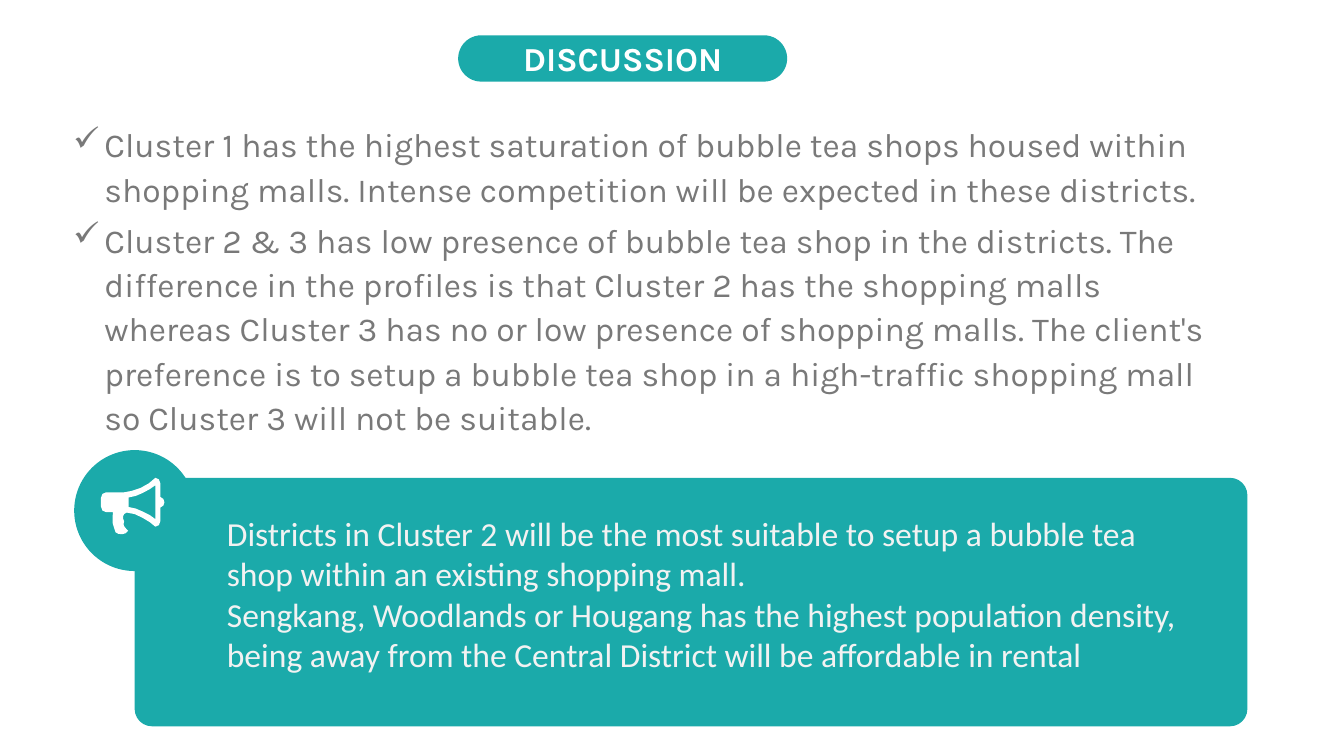
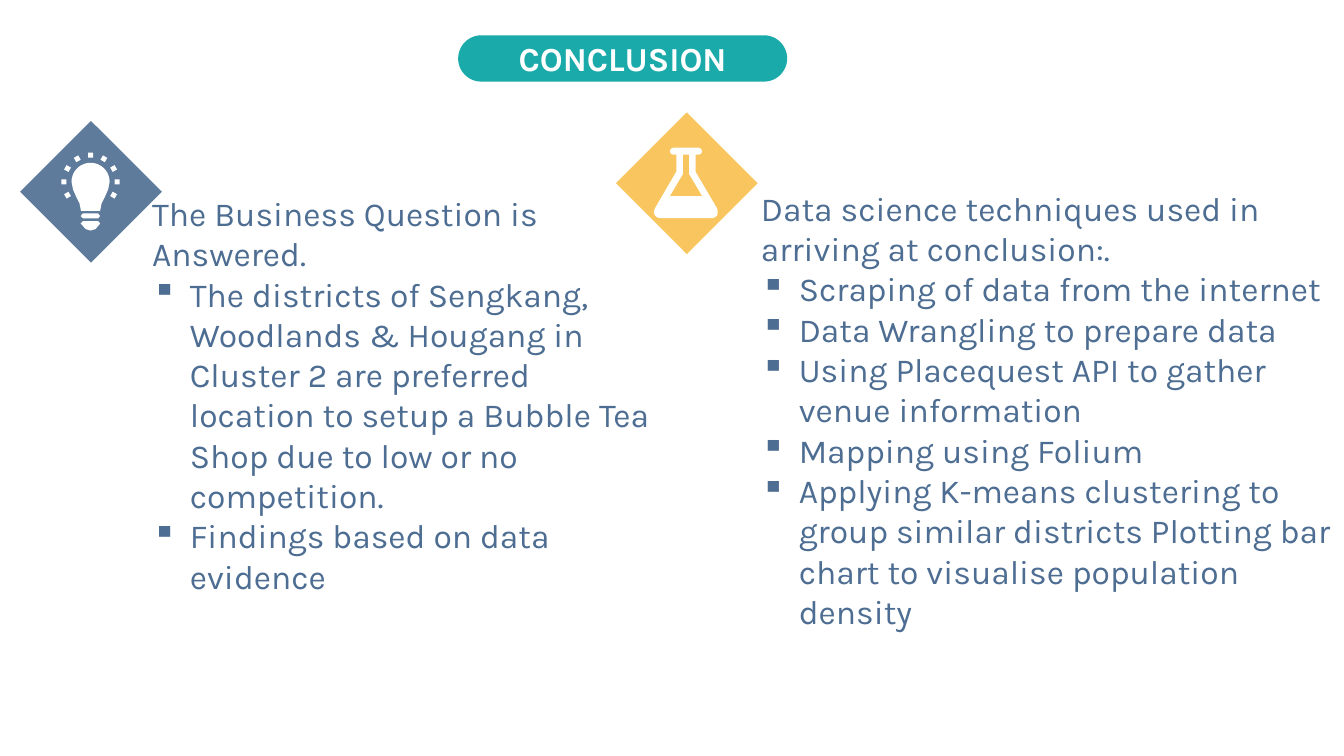
"""Build the discussion and conclusion slides of a bubble tea location study."""
import math
from dataclasses import dataclass

import lxml.etree
import pptx
import pptx.dml.color
import pptx.enum.shapes
import pptx.enum.text
import pptx.oxml.ns
import pptx.util

Pt = pptx.util.Pt
SHAPES = pptx.enum.shapes.MSO_SHAPE
ANCHOR = pptx.enum.text.MSO_ANCHOR
ALIGN = pptx.enum.text.PP_ALIGN


@dataclass(frozen=True)
class Theme:
    """Colours, fonts and type size shared by the slides."""
    teal: str = "1BAAAA"
    blue: str = "4D6D92"
    yellow: str = "F8BF4D"
    grey: str = "797979"
    pale: str = "F2F2F2"
    white: str = "FFFFFF"
    main_font: str = "Karla"
    callout_font: str = "Calibri"
    size: int = 48


@dataclass(frozen=True)
class Box:
    """A rectangle in points."""
    left: float
    top: float
    width: float
    height: float

    def inner(self, left, top, width, height):
        """Return a box placed relative to this one."""
        return Box(self.left + left, self.top + top, width, height)

    def lengths(self):
        """Return left, top, width and height as slide lengths."""
        return [Pt(value) for value in (self.left, self.top, self.width, self.height)]


THEME = Theme()
PAGE = Box(0, 0, 1920, 1080)
TITLE = Box(654.5, 50.4, 470, 66.2)
DIAMOND_SIDE = 202.3


def bulb_outline():
    """Return the contours of a shining light bulb."""
    centre, radius = 58, 38
    dome = [(centre + radius * math.cos(math.radians(angle)),
             centre + radius * math.sin(math.radians(angle)))
            for angle in range(180, 361, 10)]
    side = [(93, 73), (87, 87), (80, 101), (77, 116)]
    mirrored = [(2 * centre - x, y) for x, y in reversed(side)]
    collar = [(43, 121), (73, 121), (77, 126), (73, 131), (43, 131), (38, 126)]
    base = [(43, 136), (73, 136), (77, 141), (73, 146), (68, 152),
            (58, 155), (48, 152), (43, 146), (38, 141)]
    rays = []
    for degrees in range(-120, 121, 30):
        sine, cosine = math.sin(math.radians(degrees)), math.cos(math.radians(degrees))
        rays.append([(centre + out * sine + across * cosine,
                      centre - out * cosine + across * sine)
                     for out, across in ((48, -5), (58, -5), (58, 5), (48, 5))])
    return [dome + side + mirrored, collar, base, *rays]


MEGAPHONE = [
    [(126, 49), (124, 55), (118, 59), (118, 86), (115, 94), (108, 97), (97, 88),
     (82, 79), (67, 72), (51, 69), (46, 72), (44, 76), (44, 81), (46, 86), (45, 92),
     (46, 96), (50, 101), (54, 105), (49, 110), (42, 112), (34, 111), (29, 108),
     (26, 99), (23, 89), (23, 79), (24, 68), (10, 68), (3, 65), (0, 57), (0, 40),
     (3, 32), (10, 29), (45, 29), (61, 26), (79, 20), (95, 11), (108, 0), (115, 3),
     (118, 11), (118, 38), (124, 42)],
    [(108, 15), (96, 23), (83, 30), (69, 36), (55, 39), (55, 58), (69, 61),
     (83, 67), (97, 74), (108, 82)],
]
FLASK = [
    [(126, 121), (127, 128), (126, 134), (122, 138), (116, 140), (12, 140), (6, 138),
     (2, 134), (0, 128), (2, 121), (45, 47), (45, 14), (39, 14), (34, 12), (32, 7),
     (34, 2), (39, 0), (89, 0), (94, 2), (96, 7), (94, 12), (89, 14), (83, 14), (83, 48)],
    [(32, 96), (96, 96), (70, 52), (70, 14), (58, 14), (58, 52)],
]
BULB = bulb_outline()


def paint(shape, colour, opacity=None):
    """Give a shape a plain fill without line or shadow."""
    shape.shadow.inherit = False
    shape.fill.solid()
    shape.fill.fore_color.rgb = pptx.dml.color.RGBColor.from_string(colour)
    shape.line.fill.background()
    if opacity is not None:
        for tint in shape.element.spPr.iter(pptx.oxml.ns.qn("a:srgbClr")):
            alpha = lxml.etree.SubElement(tint, pptx.oxml.ns.qn("a:alpha"))
            alpha.set("val", str(opacity * 1000))


def add_shape(page, kind, box, colour, corner=None, opacity=None):
    """Add a plain preset shape."""
    shape = page.shapes.add_shape(kind, *box.lengths())
    if corner is not None:
        shape.adjustments[0] = corner
    paint(shape, colour, opacity)
    return shape


def add_icon(page, contours, box):
    """Draw a white icon scaled to the width of its box."""
    widest = max(x for contour in contours for x, y in contour)
    unit = Pt(box.width) / widest
    builder = None
    for contour in contours:
        points = [(x * unit, y * unit) for x, y in contour]
        if builder is None:
            builder = page.shapes.build_freeform(*points[0], scale=1.0)
        else:
            builder.move_to(*points[0])
        builder.add_line_segments(points[1:], close=True)
    paint(builder.convert_to_shape(Pt(box.left), Pt(box.top)), THEME.white)


def set_font(para, colour, name=THEME.main_font, bold=None):
    """Set the type of a paragraph."""
    para.font.name = name
    para.font.size = Pt(THEME.size)
    para.font.bold = bold
    para.font.color.rgb = pptx.dml.color.RGBColor.from_string(colour)


def set_frame(frame, side, end, anchor=ANCHOR.TOP):
    """Set wrapping, insets and anchor of a text frame."""
    frame.word_wrap = True
    frame.margin_left = frame.margin_right = Pt(side)
    frame.margin_top = frame.margin_bottom = Pt(end)
    frame.vertical_anchor = anchor


def add_bullet(para, symbol, margin, hanging):
    """Give a paragraph a bullet and a hanging indent."""
    properties = para._p.get_or_add_pPr()
    properties.set("marL", str(Pt(margin)))
    properties.set("indent", str(-Pt(hanging)))
    bullet = lxml.etree.SubElement(properties, pptx.oxml.ns.qn("a:buChar"))
    bullet.set("char", symbol)


def add_text(page, box, lines, side=7.2, end=0, anchor=ANCHOR.TOP):
    """Add a wrapping text box and return its paragraphs."""
    frame = page.shapes.add_textbox(*box.lengths()).text_frame
    set_frame(frame, side, end, anchor)
    frame.auto_size = pptx.enum.text.MSO_AUTO_SIZE.SHAPE_TO_FIT_TEXT
    frame.text = "\n".join(lines)
    return frame.paragraphs


def add_title(page, box, title):
    """Add the title pill."""
    pill = add_shape(page, SHAPES.ROUNDED_RECTANGLE, box, THEME.teal, 0.5)
    set_frame(pill.text_frame, 7.2, 0, ANCHOR.MIDDLE)
    para = pill.text_frame.paragraphs[0]
    para.text = title
    para.alignment = ALIGN.CENTER
    set_font(para, THEME.white, bold=True)


def add_findings(page, box, lines):
    """Add the ticked findings."""
    for index, para in enumerate(add_text(page, box, lines, 19.2, 9.6)):
        para.level = 1
        add_bullet(para, "✓", 130, 44.8)
        para.line_spacing = 1.1
        if index:
            para.space_before = Pt(9.6)
        set_font(para, THEME.grey)


def add_callout(page, box, lines):
    """Add the recommendation panel with its megaphone badge."""
    panel = box.inner(86.4, 39.6, box.width - 86.4, box.height - 39.6)
    add_shape(page, SHAPES.ROUNDED_RECTANGLE, panel, THEME.teal, 0.07)
    for para in add_text(page, panel.inner(124.6, 46.8, 1386, 239.8), lines, end=3.6):
        set_font(para, THEME.pale, THEME.callout_font)
    add_shape(page, SHAPES.OVAL, box.inner(0, 0, 172.8, 172.8), THEME.teal)
    add_icon(page, MEGAPHONE, box.inner(38.2, 39.6, 90.7, 80.6))


def add_summary(page, box, heading, points):
    """Add a heading with square bullets below it."""
    paras = add_text(page, box, [heading, *points], anchor=ANCHOR.MIDDLE)
    for para in paras[1:]:
        add_bullet(para, "▪", 54, 54)
    for para in paras:
        set_font(para, THEME.blue)


def add_diamond(page, box, colour, contours, icon):
    """Add a diamond badge with an icon at a place relative to it."""
    add_shape(page, SHAPES.DIAMOND, box, colour, opacity=90)
    add_icon(page, contours, box.inner(*icon))


def build_discussion(page, box):
    """Build the discussion slide."""
    add_findings(page, box.inner(0, 162, 1764, 545), [
        "Cluster 1 has the highest saturation of bubble tea shops housed within shopping "
        "malls. Intense competition will be expected in these districts.",
        "Cluster 2 & 3 has low presence of bubble tea shop in the districts. The difference "
        "in the profiles is that Cluster 2 has the shopping malls whereas Cluster 3 has no "
        "or low presence of shopping malls. The client's preference is to setup a bubble "
        "tea shop in a high-traffic shopping mall so Cluster 3 will not be suitable.",
    ])
    add_title(page, TITLE, "DISCUSSION")
    add_callout(page, box.inner(106, 643, 1676, 394.6), [
        "Districts in Cluster 2 will be the most suitable to setup a bubble tea shop within "
        "an existing shopping mall.",
        "Sengkang, Woodlands or Hougang has the highest population density, being away from "
        "the Central District will be affordable in rental",
    ])


def build_conclusion(page, box):
    """Build the conclusion slide."""
    add_summary(page, box.inner(210.2, 274.3, 725.8, 578.2),
                "The Business Question is Answered.", [
        "The districts of Sengkang, Woodlands & Hougang in Cluster 2 are preferred location "
        "to setup a Bubble Tea Shop due to low or no competition.",
        "Findings based on data evidence",
    ])
    add_summary(page, box.inner(1080, 267, 840, 636),
                "Data science techniques used in arriving at conclusion:.", [
        "Scraping of data from the internet",
        "Data Wrangling to prepare data",
        "Using Placequest API to gather venue information",
        "Mapping using Folium",
        "Applying K-means clustering to group similar districts Plotting bar chart to "
        "visualise population density",
    ])
    add_diamond(page, box.inner(880, 160.6, DIAMOND_SIDE, DIAMOND_SIDE),
                THEME.yellow, FLASK, (54, 50.4, 91.4, 100.8))
    add_diamond(page, box.inner(28.8, 172.8, DIAMOND_SIDE, DIAMOND_SIDE),
                THEME.blue, BULB, (59, 45.4, 83.2, 111.6))
    add_title(page, TITLE, "CONCLUSION")


def main():
    """Build and save the deck."""
    deck = pptx.Presentation()
    deck.slide_width, deck.slide_height = Pt(PAGE.width), Pt(PAGE.height)
    for build in (build_discussion, build_conclusion):
        build(deck.slides.add_slide(deck.slide_layouts[6]), PAGE)
    deck.save("out.pptx")


if __name__ == "__main__":
    main()
